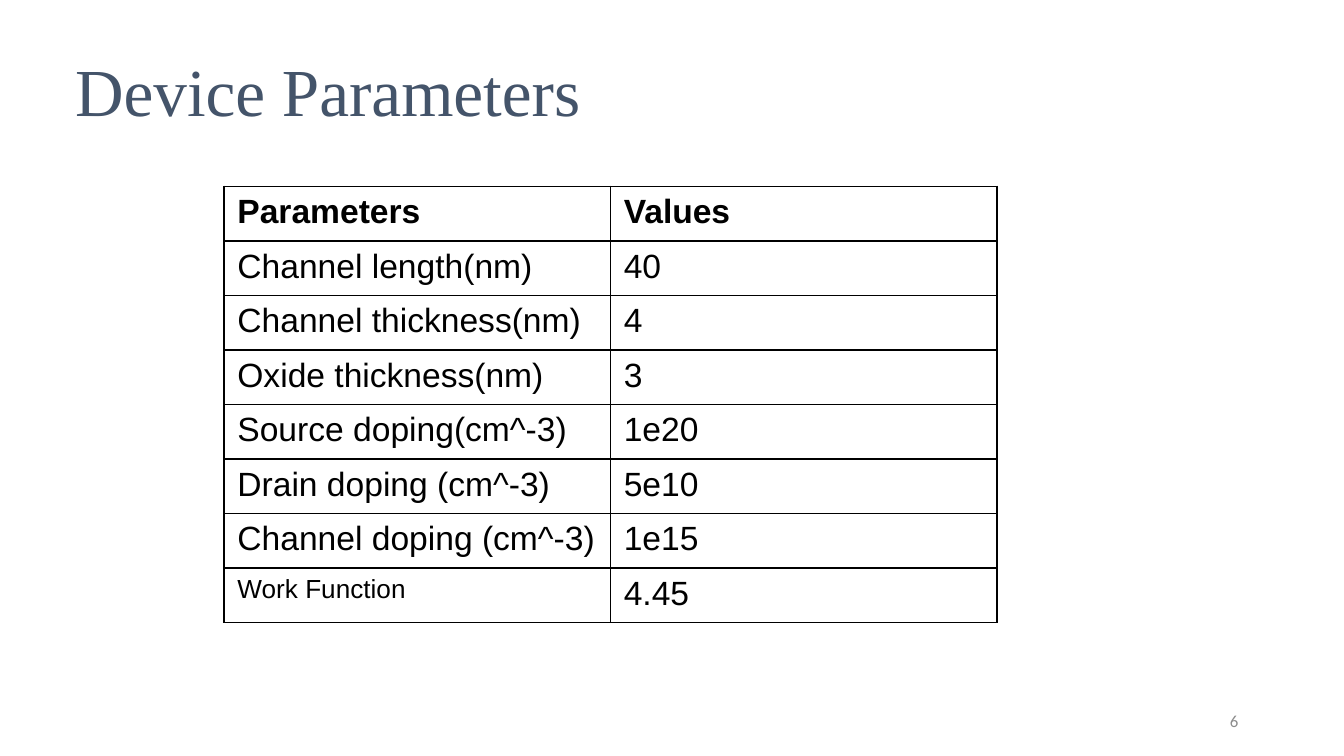
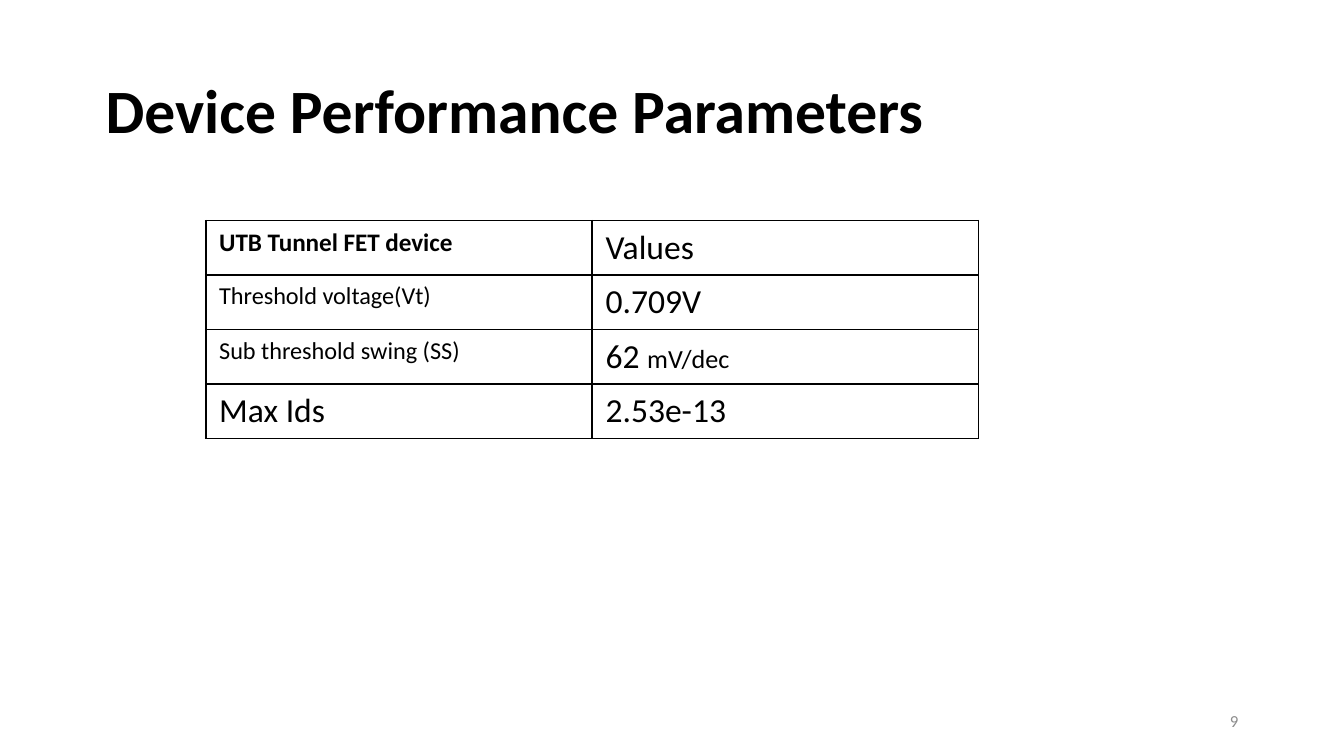
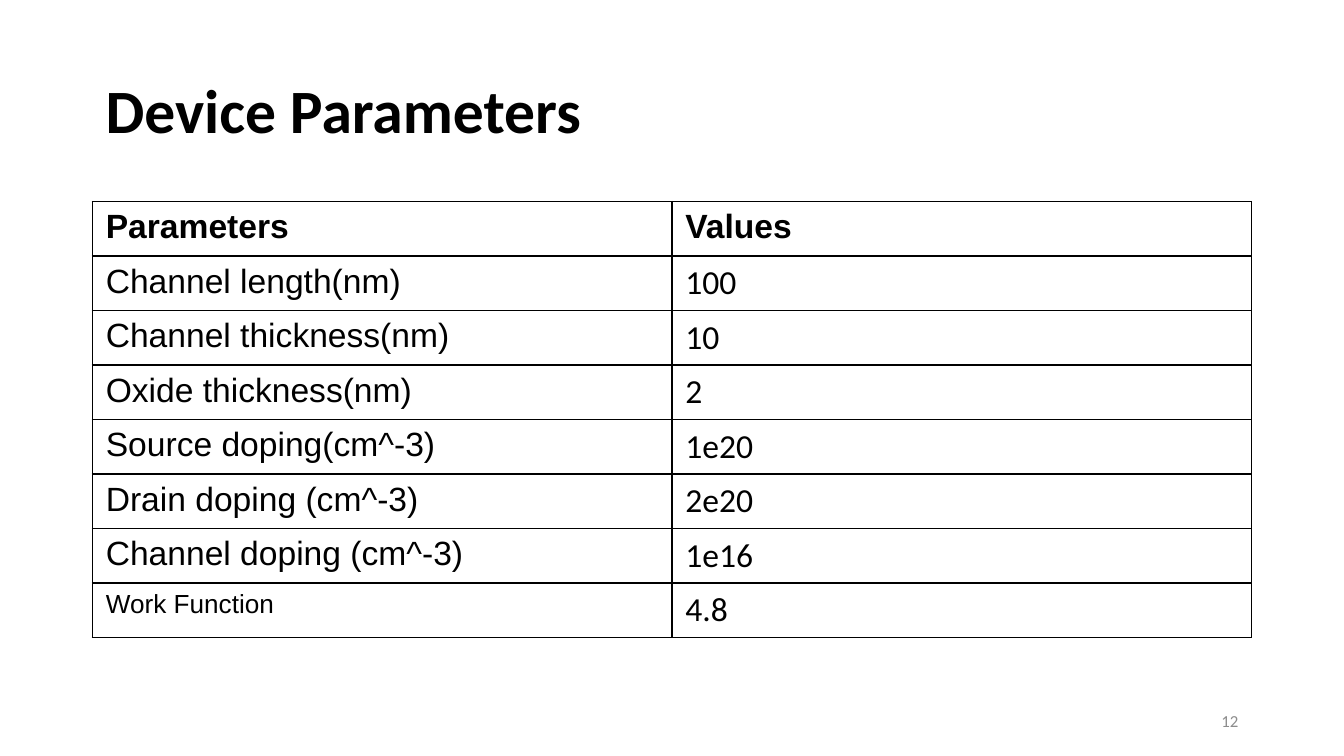
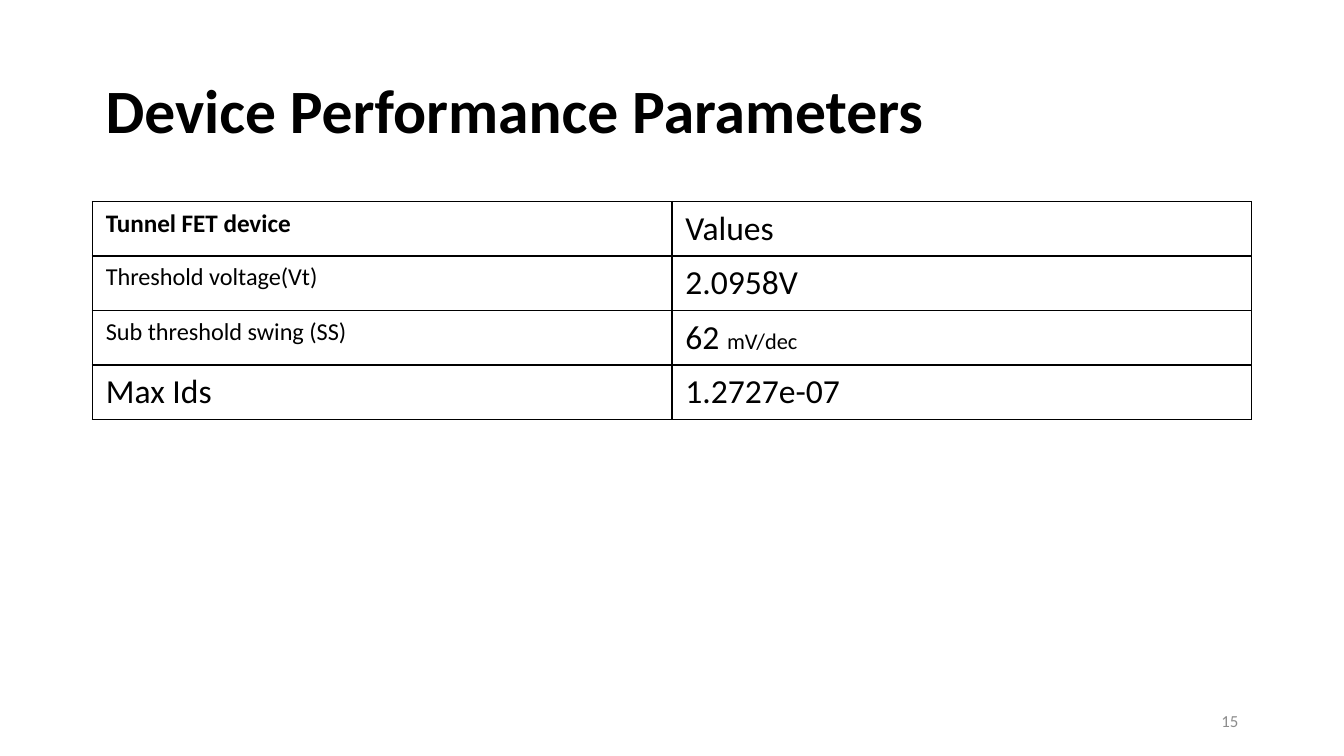
from lxml import etree
from pptx import Presentation
from pptx.dml.color import RGBColor
from pptx.enum.text import MSO_ANCHOR, PP_ALIGN
from pptx.oxml.ns import qn
from pptx.util import Pt

MIDDLE = MSO_ANCHOR.MIDDLE
LEFT, RIGHT = PP_ALIGN.LEFT, PP_ALIGN.RIGHT

BLACK, SLATE, GRAY, WHITE = "000000", "44546A", "8C8C8C", "FFFFFF"
SANS, BODY, SERIF = "Arial", "Calibri", "Times New Roman"

SLIDE_SIZE = (720, 405)
TITLE_BOX = (49.5, 21.6, 621, 78.3)
NUMBER_BOX = (508.5, 375.4, 162, 21.6)
WIDE_TABLE = (49.5, 108, 621)
ROW_HEIGHT = 29.2
BORDER_WIDTH = 1
BLANK_LAYOUT = 6

PARAMETER_LABELS = (
    "Channel length(nm)",
    "Channel thickness(nm)",
    "Oxide thickness(nm)",
    "Source doping(cm^-3)",
    "Drain doping (cm^-3)",
    "Channel doping (cm^-3)",
    "Work Function",
)


def rgb(hex_color):
    """Turn a hex string into a colour."""
    return RGBColor.from_string(hex_color)


def write(paragraph, text, size=18, font=BODY, color=BLACK, bold=False):
    """Append formatted text to a paragraph."""
    run = paragraph.add_run()
    run.text = text
    run.font.size = Pt(size)
    run.font.name = font
    run.font.bold = bold
    run.font.color.rgb = rgb(color)


def add_label(slide, box, text, align=LEFT, line_spacing=1.0, **style):
    """Add a vertically centred line of text in a box."""
    frame = slide.shapes.add_textbox(*map(Pt, box)).text_frame
    frame.word_wrap = True
    frame.vertical_anchor = MIDDLE
    paragraph = frame.paragraphs[0]
    paragraph.alignment = align
    paragraph.line_spacing = line_spacing
    write(paragraph, text, **style)


def draw_borders(cell):
    """Give a cell a thin black line on all four sides."""
    properties = cell._tc.get_or_add_tcPr()
    for side in ("a:lnL", "a:lnR", "a:lnT", "a:lnB"):
        line = etree.SubElement(properties, qn(side), w=str(Pt(BORDER_WIDTH)))
        fill = etree.SubElement(line, qn("a:solidFill"))
        etree.SubElement(fill, qn("a:srgbClr"), val=BLACK)


def add_grid(slide, place, rows):
    """Add a bordered two-column table; each cell is a list of runs."""
    left, top, width = place
    height = ROW_HEIGHT * len(rows)
    table = slide.shapes.add_table(
        len(rows), 2, Pt(left), Pt(top), Pt(width), Pt(height)
    ).table
    table.first_row = table.horz_banding = False
    for row_index, row in enumerate(rows):
        table.rows[row_index].height = Pt(ROW_HEIGHT)
        for column_index, runs in enumerate(row):
            cell = table.cell(row_index, column_index)
            draw_borders(cell)
            cell.fill.background()
            for text, style in runs:
                write(cell.text_frame.paragraphs[0], text, **style)


def parameter_rows(values, value_font):
    """Pair the device parameter labels with their values."""
    heading = {"font": SANS, "bold": True}
    rows = [([("Parameters", heading)], [("Values", heading)])]
    for label, value in zip(PARAMETER_LABELS, values):
        size = 14 if label == "Work Function" else 18
        rows.append((
            [(label, {"font": SANS, "size": size})],
            [(value, {"font": value_font})],
        ))
    return rows


def performance_rows(device, threshold, max_current, unit_size):
    """List the measured performance of one device."""
    return [
        ([(device, {"size": 13.5, "bold": True})], [("Values", {})]),
        ([("Threshold voltage(Vt)", {"size": 13})], [(threshold, {})]),
        ([("Sub threshold swing (SS)", {"size": 13})],
         [("62 ", {}), ("mV/dec", {"size": unit_size})]),
        ([("Max Ids", {})], [(max_current, {})]),
    ]


def add_table_slide(deck, number, title, place, rows,
                    title_box=TITLE_BOX, **title_style):
    """Add a slide with a title, a table and a slide number."""
    slide = deck.slides.add_slide(deck.slide_layouts[BLANK_LAYOUT])
    slide.background.fill.solid()
    slide.background.fill.fore_color.rgb = rgb(WHITE)
    style = {"size": 33, "bold": True, **title_style}
    add_label(slide, title_box, title, line_spacing=0.9, **style)
    add_grid(slide, place, rows)
    add_label(slide, NUMBER_BOX, str(number), align=RIGHT, size=9, color=GRAY)


def main():
    """Build the deck."""
    deck = Presentation()
    deck.slide_width, deck.slide_height = map(Pt, SLIDE_SIZE)

    add_table_slide(
        deck, 6, "Device Parameters", (120, 99.9, 414),
        parameter_rows(("40", "4", "3", "1e20", "5e10", "1e15", "4.45"), SANS),
        title_box=(33.2, 11.5, 621, 78.3),
        size=36, font=SERIF, color=SLATE, bold=False,
    )
    add_table_slide(
        deck, 9, "Device Performance Parameters", (110.2, 118.2, 414),
        performance_rows("UTB Tunnel FET device", "0.709V", "2.53e-13", 14),
    )
    add_table_slide(
        deck, 12, "Device Parameters", WIDE_TABLE,
        parameter_rows(("100", "10", "2", "1e20", "2e20", "1e16", "4.8"), BODY),
    )
    add_table_slide(
        deck, 15, "Device Performance Parameters", WIDE_TABLE,
        performance_rows("Tunnel FET device", "2.0958V", "1.2727e-07", 12),
    )
    deck.save("out.pptx")


if __name__ == "__main__":
    main()
